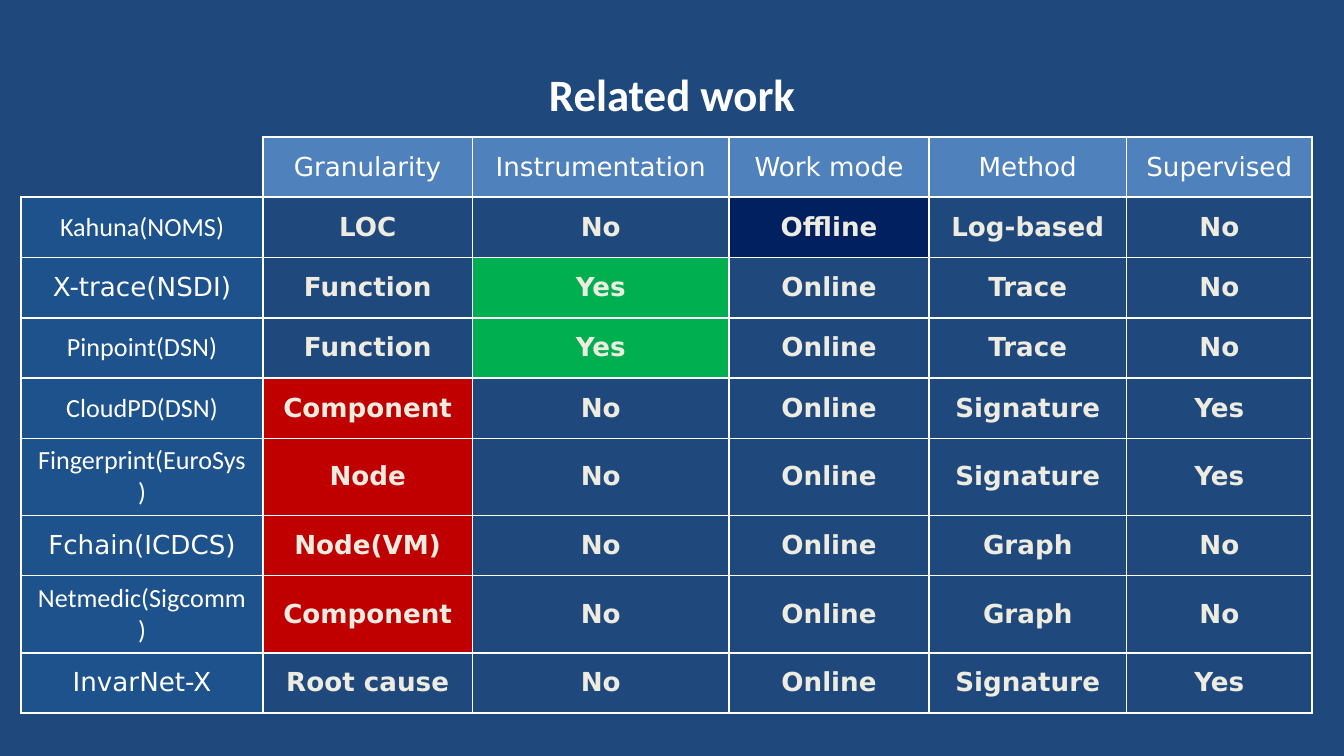
import lxml.etree
import pptx
import pptx.dml.color
import pptx.enum.text
import pptx.oxml.ns
import pptx.util
from pptx.util import Cm

TITLE = "Related work"
HEADERS = ["", "Granularity", "Instrumentation", "Work mode", "Method", "Supervised"]
SYSTEMS = [
    ("Kahuna(NOMS)", "LOC", "No", "Offline", "Log-based", "No"),
    ("X-trace(NSDI)", "Function", "Yes", "Online", "Trace", "No"),
    ("Pinpoint(DSN)", "Function", "Yes", "Online", "Trace", "No"),
    ("CloudPD(DSN)", "Component", "No", "Online", "Signature", "Yes"),
    ("Fingerprint(EuroSys)", "Node", "No", "Online", "Signature", "Yes"),
    ("Fchain(ICDCS)", "Node(VM)", "No", "Online", "Graph", "No"),
    ("Netmedic(Sigcomm)", "Component", "No", "Online", "Graph", "No"),
    ("InvarNet-X", "Root cause", "No", "Online", "Signature", "Yes"),
]
COLUMN_WIDTHS = [4.57, 3.96, 4.85, 3.78, 3.73, 3.51]
ROW_HEIGHT = 1.14

BACKGROUND, WHITE, CREAM = "1F497D", "FFFFFF", "EEECE1"
HEADER_BLUE, LABEL_BLUE = "4F81BD", "1D528D"
# (column, value) pairs that stand out, with fill colour and opacity in percent
HIGHLIGHTS = {
    (1, "Component"): ("C00000", 100),
    (1, "Node"): ("C00000", 100),
    (1, "Node(VM)"): ("C00000", 100),
    (2, "Yes"): ("00B050", 100),
    (3, "Offline"): ("002060", 80),
}
SOLID_HEADERS = {"Granularity", "Work mode"}
FADED_LABELS = {"X-trace(NSDI)", "CloudPD(DSN)", "InvarNet-X"}
WIDE_FONT_LABELS = {"X-trace(NSDI)", "Fchain(ICDCS)", "InvarNet-X"}


def rgb(value):
    return pptx.dml.color.RGBColor.from_string(value)


def add_child(parent, tag, **attributes):
    return lxml.etree.SubElement(parent, pptx.oxml.ns.qn(tag), **attributes)


def set_fill(cell, color, opacity):
    cell.fill.solid()
    cell.fill.fore_color.rgb = rgb(color)
    if opacity < 100:
        color_node = cell.fill._xPr.find(".//" + pptx.oxml.ns.qn("a:srgbClr"))
        add_child(color_node, "a:alpha", val=str(opacity * 1000))


def set_borders(cell, visible_sides):
    properties = cell._tc.get_or_add_tcPr()
    for side in "LRTB":
        line = add_child(properties, f"a:ln{side}", w=str(pptx.util.Pt(1)))
        if side in visible_sides:
            add_child(add_child(line, "a:solidFill"), "a:srgbClr", val=WHITE)
        else:
            add_child(line, "a:noFill")


def cell_style(row, column, text):
    """Return fill colour, opacity, font name, font colour and bold."""
    if row == 0:
        opacity = 100 if text in SOLID_HEADERS else 70
        return HEADER_BLUE, opacity, "DejaVu Sans", WHITE, False
    if column == 0:
        opacity = 70 if text in FADED_LABELS else 100
        font = "DejaVu Sans" if text in WIDE_FONT_LABELS else "Calibri"
        return LABEL_BLUE, opacity, font, WHITE, False
    color, opacity = HIGHLIGHTS.get((column, text), (BACKGROUND, 80))
    return color, opacity, "DejaVu Sans", CREAM, True


def format_text(para, font, size, color, bold):
    para.alignment = pptx.enum.text.PP_ALIGN.CENTER
    para.font.name = font
    para.font.size = pptx.util.Pt(size)
    para.font.color.rgb = rgb(color)
    para.font.bold = bold


def add_title(page):
    title = page.shapes.title
    title.left, title.top, title.width, title.height = Cm(1.27), Cm(0.58), Cm(22.86), Cm(2.39)
    title.text_frame.text = TITLE
    title.text_frame.vertical_anchor = pptx.enum.text.MSO_ANCHOR.MIDDLE
    format_text(title.text_frame.paragraphs[0], "Calibri", 24, WHITE, True)


def add_comparison(page):
    rows = [HEADERS, *SYSTEMS]
    table = page.shapes.add_table(
        len(rows), len(HEADERS), Cm(0.4), Cm(2.59),
        Cm(sum(COLUMN_WIDTHS)), Cm(ROW_HEIGHT * len(rows))).table
    table.first_row = table.horz_banding = False
    for column, width in zip(table.columns, COLUMN_WIDTHS):
        column.width = Cm(width)
    for r, values in enumerate(rows):
        table.rows[r].height = Cm(ROW_HEIGHT)
        for c, text in enumerate(values):
            cell = table.cell(r, c)
            set_borders(cell, "LRTB" if text else "RB")
            if not text:
                cell.fill.background()
                continue
            fill, opacity, font, color, bold = cell_style(r, c, text)
            set_fill(cell, fill, opacity)
            cell.text = text
            cell.vertical_anchor = pptx.enum.text.MSO_ANCHOR.MIDDLE
            format_text(cell.text_frame.paragraphs[0], font, 14, color, bold)


def main():
    deck = pptx.Presentation()
    deck.slide_width, deck.slide_height = Cm(25.4), Cm(14.29)
    page = deck.slides.add_slide(deck.slide_layouts[5])
    page.background.fill.solid()
    page.background.fill.fore_color.rgb = rgb(BACKGROUND)
    add_title(page)
    add_comparison(page)
    deck.save("out.pptx")


if __name__ == "__main__":
    main()
